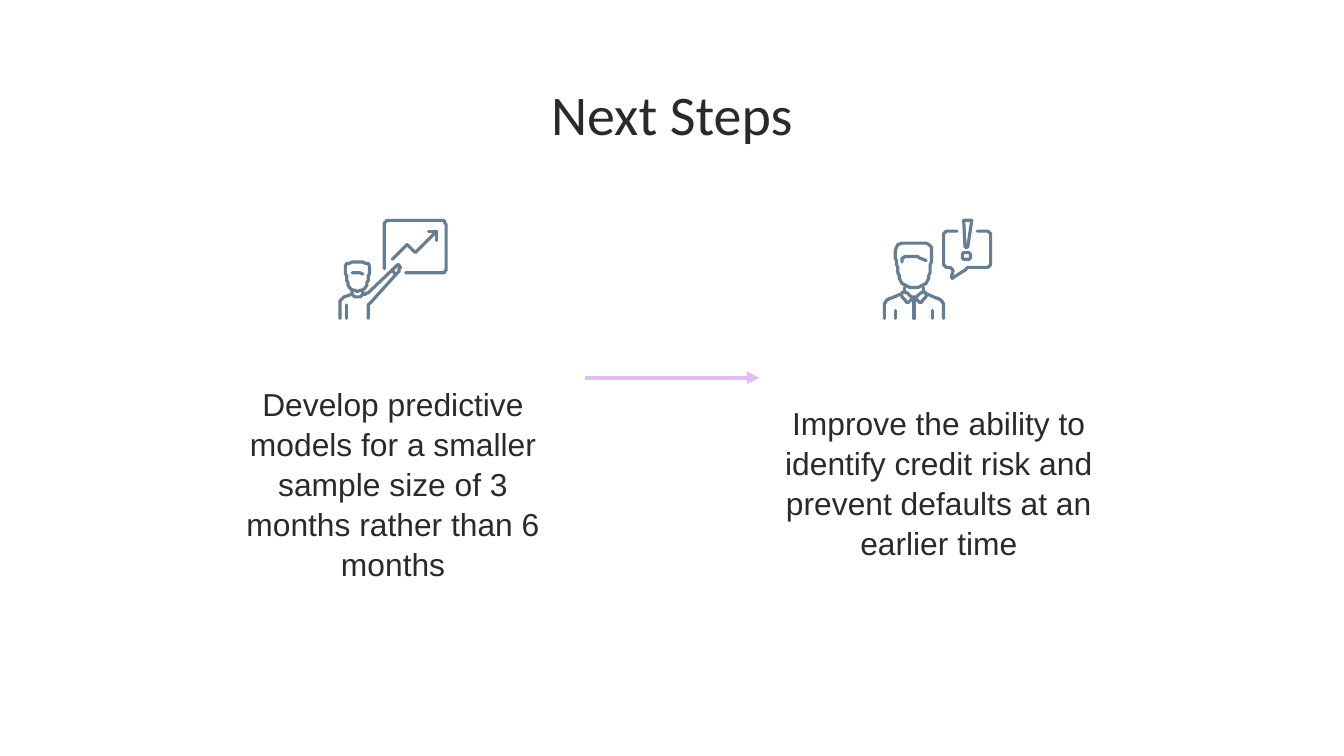
from lxml import etree
from pptx import Presentation
from pptx import util as u
from pptx.dml.color import RGBColor
from pptx.enum import shapes, text
from pptx.oxml.ns import qn

COLORS = {"text": "2A2A2A", "icon": "657E93", "arrow": "E1BDF7"}

# Text: wording, box in cm (left, top, width, height), font, size, line spacing, space after
TITLE = ("Next Steps", (2, 1.25, 21.4, 1.6), "Calibri", 30, 1, 0)
STEPS = [
    ("Develop predictive models for a smaller sample size of 3 months "
     "rather than 6 months", (4.32, 6.98, 6.22, 4.14), "Arial", 17, 1.05, 10),
    ("Improve the ability to identify credit risk and prevent defaults "
     "at an earlier time", (14.38, 7.34, 6.73, 3.43), "Arial", 17, 1.05, 10),
]
ARROW = (11.05, 7.14, 14.35, 7.14)

# Icons: each part is (corner radius, closed, strokes), points in icon units
UNIT = u.Cm(0.0254)
PRESENTER = [
    (2, False, [[(10, 39.5), (14, 39.5), (18, 41)]]),                  # fringe
    (0, False, [[(6, 64), (6, 73.5)]]),                                # sleeve
    (5, True, [[(23, 32.5), (23, 40), (21.5, 43), (21.5, 48), (18, 53.5),
                (10, 53.5), (6.5, 48), (6.5, 43), (5, 40), (5, 32.5)]]),  # head
    (3, False, [
        [(10, 53), (10, 56), (14, 59), (18, 56), (18, 53)],            # collar
        [(10, 56), (1, 59.5), (1, 73.5)],                              # left arm
        [(18, 55.5), (21, 56), (45.5, 33), (45.5, 39),
         (21.5, 64), (21.5, 73.5)],                                    # right arm
        [(40, 38.5), (42.5, 41)]]),                                    # cuff
    (3, False, [[(34, 37), (34, 1), (79.5, 1), (79.5, 40.5), (50, 40.5)]]),  # board
    (0, False, [[(40, 30), (51, 19), (57, 25), (73, 9)],
                [(67, 9), (73, 9), (73, 16)]]),                        # trend
]
ADVISER = [
    (2, False, [[(14, 32.5), (14, 28.5), (25, 28), (32, 31)]]),        # fringe
    (8, True, [[(36.5, 17.5), (36.5, 30), (35, 35), (34.5, 44), (29, 51),
                (17, 51), (11.5, 44), (11, 35), (9, 30), (9, 17.5)]]),  # head
    (2, False, [
        [(16, 51), (16, 54), (23, 59), (30, 54), (30, 51)],            # neck
        [(16, 54), (13, 56), (18, 62.5), (23, 59), (28, 62.5),
         (33, 56), (30, 54)],                                          # collar
        [(13, 56), (4, 59.5), (1, 63), (1, 73.5)],                     # shoulders
        [(33, 56), (42, 59.5), (45, 63), (45, 73.5)],
        [(23, 59), (23, 73.5)]]),                                      # shirt front
    (0, False, [[(9, 68), (9, 73.5)]]),                                # sleeves
    (0, False, [[(37, 68), (37, 73.5)]]),
    (3, False, [[(55, 9), (45, 9), (45, 36), (52, 36), (50.5, 45),
                 (63, 36), (80, 36), (80, 9), (70, 9)]]),              # bubble
    (0, True, [[(59.5, 1), (65.5, 1), (63, 21), (61, 21)]]),           # mark
    (2.8, True, [[(59.2, 24.7), (64.8, 24.7), (64.8, 30.3), (59.2, 30.3)]]),  # dot
]
ICONS = [(6.4, 4.14, PRESENTER), (16.69, 4.14, ADVISER)]


def rgb(name):
    return RGBColor.from_string(COLORS[name])


def add_text(slide, wording, box, font, size, spacing, after):
    tf = slide.shapes.add_textbox(*map(u.Cm, box)).text_frame
    tf.word_wrap = True
    tf.vertical_anchor = text.MSO_ANCHOR.TOP
    tf.margin_left = tf.margin_right = tf.margin_top = tf.margin_bottom = u.Cm(0.25)
    p = tf.paragraphs[0]
    p.text = wording
    p.alignment = text.PP_ALIGN.CENTER
    p.line_spacing, p.space_after = spacing, u.Pt(after)
    p.font.name, p.font.size = font, u.Pt(size)
    p.font.color.rgb = rgb("text")


def toward(a, b, radius):
    """Point on the way from a to b, at most halfway."""
    dx, dy = b[0] - a[0], b[1] - a[1]
    t = min(0.5, radius / (dx * dx + dy * dy) ** 0.5)
    return a[0] + t * dx, a[1] + t * dy


def rounded(points, radius, closed):
    """Replace each corner with a short sampled curve."""
    if not radius:
        return points
    n, out = len(points), []
    for i, corner in enumerate(points):
        if not closed and i in (0, n - 1):
            out.append(corner)
            continue
        a = toward(corner, points[i - 1], radius)
        b = toward(corner, points[(i + 1) % n], radius)
        for t in (0, 0.25, 0.5, 0.75, 1):
            out.append(tuple((1 - t) ** 2 * a[k] + 2 * t * (1 - t) * corner[k]
                             + t * t * b[k] for k in (0, 1)))
    return out


def add_part(slide, left, top, radius, closed, strokes):
    paths = [rounded(s, radius, closed) for s in strokes]
    builder = slide.shapes.build_freeform(*paths[0][0], scale=UNIT)
    for i, path in enumerate(paths):
        if i:
            builder.move_to(*path[0])
        builder.add_line_segments(path[1:], close=closed)
    sp = builder.convert_to_shape(u.Cm(left), u.Cm(top))
    sp.shadow.inherit = False
    sp.fill.background()
    sp.line.color.rgb = rgb("icon")
    sp.line.width = u.Pt(1.7)
    ln = sp._element.spPr.find(qn("a:ln"))
    ln.set("cap", "rnd")
    etree.SubElement(ln, qn("a:round"))


def add_arrow(slide, ends):
    line = slide.shapes.add_connector(shapes.MSO_CONNECTOR.STRAIGHT, *map(u.Cm, ends))
    line.line.color.rgb = rgb("arrow")
    line.line.width = u.Pt(2.25)
    pr = line._element.spPr
    etree.SubElement(pr.find(qn("a:ln")), qn("a:tailEnd"), type="triangle")
    etree.SubElement(pr, qn("a:effectLst"))


def main():
    prs = Presentation()
    prs.slide_width, prs.slide_height = u.Cm(25.4), u.Cm(14.29)
    slide = prs.slides.add_slide(prs.slide_layouts[6])
    # Title and steps
    for item in [TITLE, *STEPS]:
        add_text(slide, *item)
    # Icons above the steps
    for left, top, parts in ICONS:
        for part in parts:
            add_part(slide, left, top, *part)
    # Arrow between the steps
    add_arrow(slide, ARROW)
    prs.save("out.pptx")


if __name__ == "__main__":
    main()
